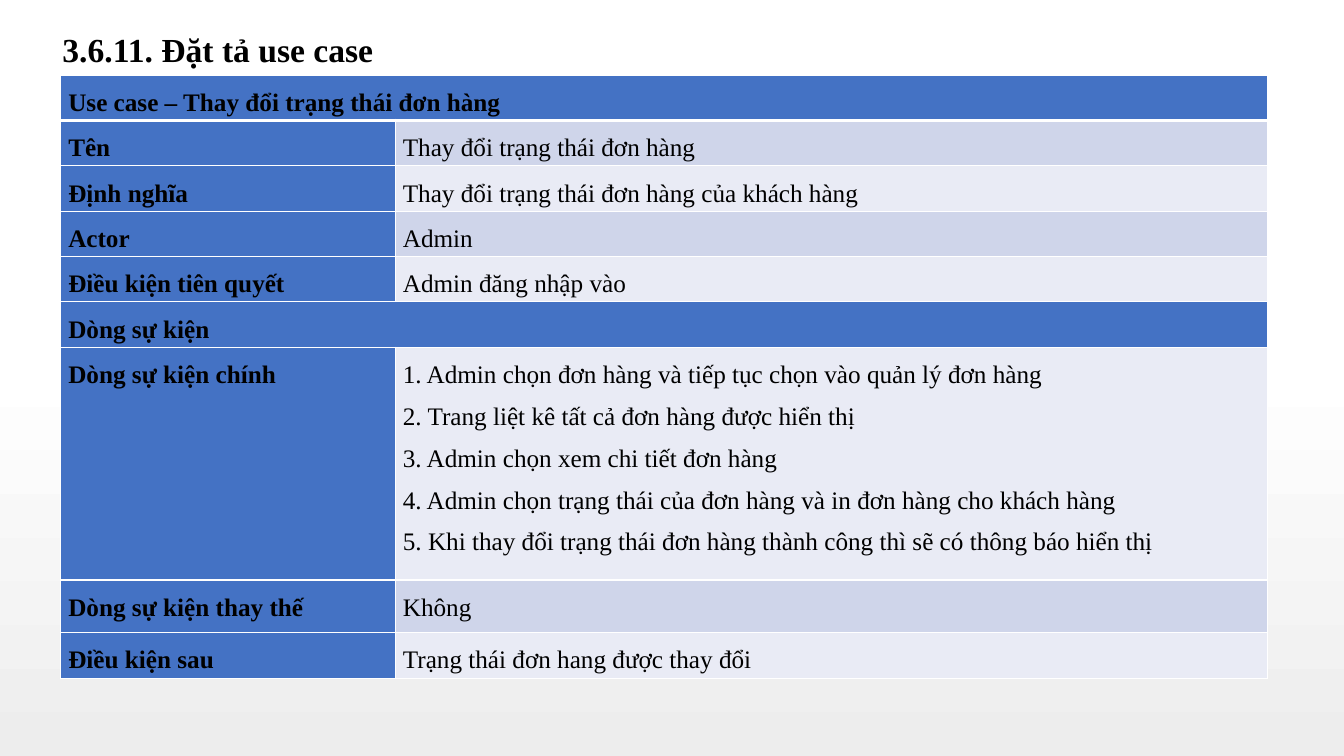
from lxml.etree import SubElement
from pptx import Presentation
from pptx.dml.color import RGBColor
from pptx.enum.text import MSO_ANCHOR, PP_ALIGN
from pptx.oxml.ns import qn
from pptx.util import Pt

BLACK = RGBColor(0x00, 0x00, 0x00)
WHITE = RGBColor(0xFF, 0xFF, 0xFF)
GREY = RGBColor(0xED, 0xED, 0xED)
BLUE = RGBColor(0x44, 0x72, 0xC4)
BAND_DARK = RGBColor(0xCF, 0xD5, 0xEA)
BAND_LIGHT = RGBColor(0xE9, 0xEB, 0xF5)
FONT = "Times New Roman"
LINE_ROW = 32.4

# Label, description lines (none for a full-width heading), row height in points
USE_CASE = [
    ("Use case – Thay đổi trạng thái đơn hàng", [], LINE_ROW),
    ("Tên", ["Thay đổi trạng thái đơn hàng"], LINE_ROW),
    ("Định nghĩa", ["Thay đổi trạng thái đơn hàng của khách hàng"], LINE_ROW),
    ("Actor", ["Admin"], LINE_ROW),
    ("Điều kiện tiên quyết", ["Admin đăng nhập vào"], LINE_ROW),
    ("Dòng sự kiện", [], LINE_ROW),
    ("Dòng sự kiện chính", [
        "1. Admin chọn đơn hàng và tiếp tục chọn vào quản lý đơn hàng",
        "2. Trang liệt kê tất cả đơn hàng được hiển thị",
        "3. Admin chọn xem chi tiết đơn hàng",
        "4. Admin chọn trạng thái của đơn hàng và in đơn hàng cho khách hàng",
        "5. Khi thay đổi trạng thái đơn hàng thành công thì sẽ có thông báo hiển thị",
    ], 166.3),
    ("Dòng sự kiện thay thế", ["Không"], 37.4),
    ("Điều kiện sau", ["Trạng thái đơn hang được thay đổi"], 33.1),
]


def set_font(paragraph, size, bold):
    font = paragraph.font
    font.name, font.size, font.bold = FONT, Pt(size), bold
    font.color.rgb = BLACK


def paint_background(slide):
    fill = slide.background.fill
    fill.gradient()
    fill.gradient_angle = 270
    for stop, position, color in zip(fill.gradient_stops, (0.48, 1), (WHITE, GREY)):
        stop.position, stop.color.rgb = position, color


def add_heading(slide, left, top, width, height):
    heading = slide.shapes.title
    heading.left, heading.top = Pt(left), Pt(top)
    heading.width, heading.height = Pt(width), Pt(height)
    frame = heading.text_frame
    frame.text = "3.6.11. Đặt tả use case"
    frame.vertical_anchor = MSO_ANCHOR.TOP
    frame.paragraphs[0].alignment = PP_ALIGN.LEFT
    set_font(frame.paragraphs[0], 24, True)


def add_borders(cell, bottom_width):
    properties = cell._tc.get_or_add_tcPr()
    for side, width in (("L", 1), ("R", 1), ("T", 1), ("B", bottom_width)):
        line = SubElement(properties, qn(f"a:ln{side}"), w=str(Pt(width)))
        solid = SubElement(line, qn("a:solidFill"))
        SubElement(solid, qn("a:srgbClr"), val=str(WHITE))


def fill_cell(cell, lines, color, alignment, bold, bottom_width):
    add_borders(cell, bottom_width)
    cell.fill.solid()
    cell.fill.fore_color.rgb = color
    cell.margin_left = cell.margin_right = Pt(5.4)
    cell.margin_top = cell.margin_bottom = 0
    cell.text = "\n".join(lines)
    for paragraph in cell.text_frame.paragraphs:
        paragraph.alignment = alignment
        paragraph.line_spacing = 1.5
        set_font(paragraph, 18, bold)


def add_use_case_table(slide, left, top, width):
    label_width = 239
    height = sum(row_height for _, _, row_height in USE_CASE)
    table = slide.shapes.add_table(
        len(USE_CASE), 2, Pt(left), Pt(top), Pt(width), Pt(height)).table
    table.columns[0].width = Pt(label_width)
    table.columns[1].width = Pt(width - label_width)
    for index, (label, description, row_height) in enumerate(USE_CASE):
        table.rows[index].height = Pt(row_height)
        label_cell, description_cell = table.cell(index, 0), table.cell(index, 1)
        bottom_width = 3 if index == 0 else 1
        if description:
            band = BAND_DARK if index % 2 else BAND_LIGHT
            fill_cell(description_cell, description, band, PP_ALIGN.JUSTIFY, False, bottom_width)
        else:
            label_cell.merge(description_cell)
            add_borders(description_cell, bottom_width)
        fill_cell(label_cell, [label], BLUE, PP_ALIGN.LEFT, True, bottom_width)


def main():
    deck = Presentation()
    deck.slide_width, deck.slide_height = Pt(960), Pt(540)
    slide = deck.slides.add_slide(deck.slide_layouts[5])
    paint_background(slide)
    add_heading(slide, 37.4, 17.3, 701.3, 36)
    add_use_case_table(slide, 43.4, 53.6, 861.8)
    deck.save("out.pptx")


if __name__ == "__main__":
    main()
